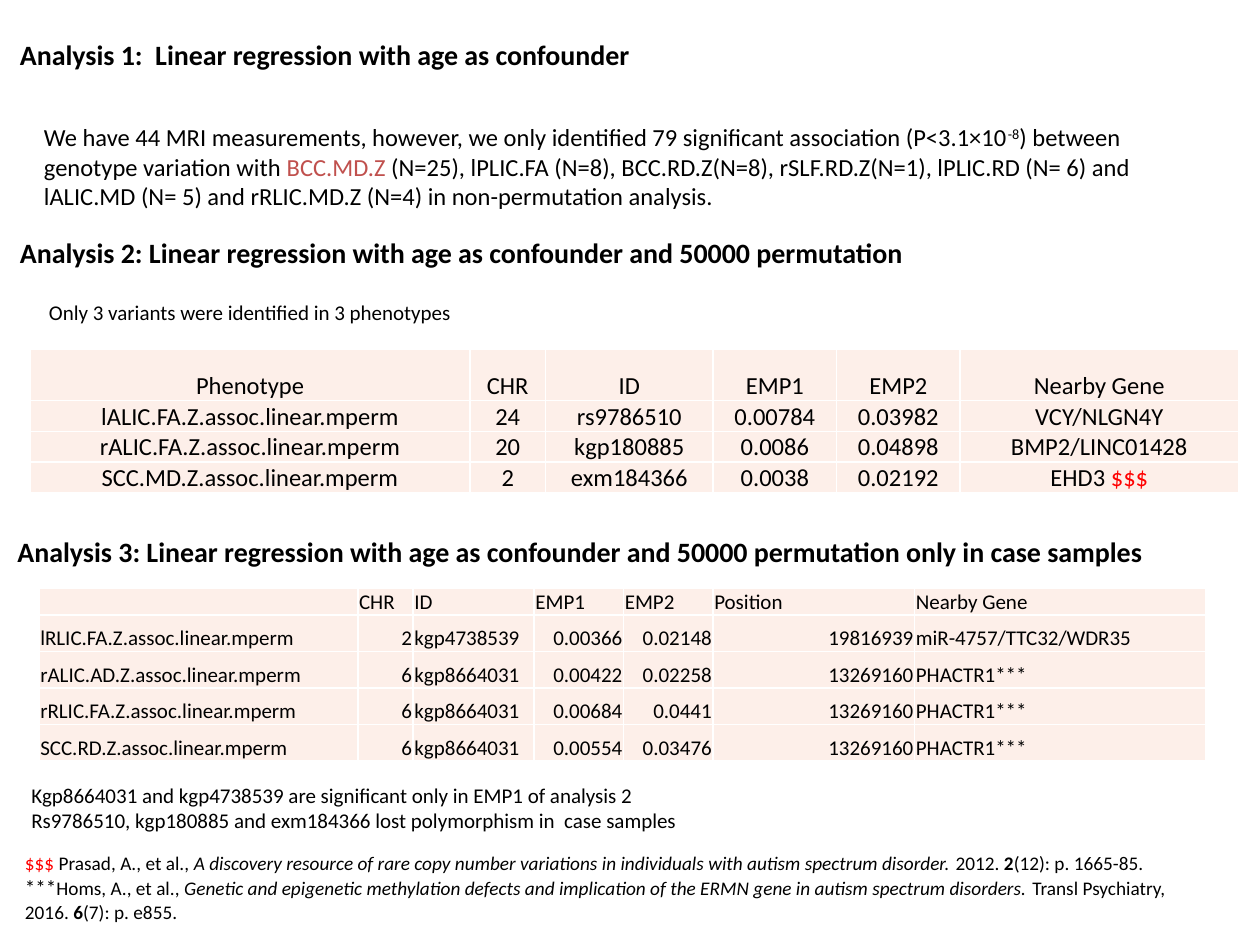
import lxml.etree
import pptx
import pptx.dml.color
import pptx.enum.text
import pptx.oxml.ns
import pptx.util

Inches = pptx.util.Inches
Pt = pptx.util.Pt
qn = pptx.oxml.ns.qn
align = pptx.enum.text.PP_ALIGN
sides = {"l": align.LEFT, "c": align.CENTER, "r": align.RIGHT}
red = "FF0000"


def tint(code):
    return pptx.dml.color.RGBColor.from_string(code)


def write(para, parts, size):
    if isinstance(parts, str):
        parts = [(parts, {})]
    para.text = parts[0][0]
    for part in parts[1:]:
        para.add_run().text = part[0]
    for run, (text, look) in zip(para.runs, parts):
        run.font.name = "Calibri"
        run.font.size = Pt(look.get("size", size))
        run.font.bold = look.get("bold", False)
        run.font.italic = look.get("slant", False)
        run.font.color.rgb = tint(look.get("hue", "000000"))
        if "raise" in look:
            run.font._element.set("baseline", look["raise"])
    if not para.runs:
        lxml.etree.SubElement(para._p, qn("a:endParaRPr"), sz=str(size * 100))


deck = pptx.Presentation()
deck.slide_width = Inches(10)
deck.slide_height = Inches(7.5)
slide = deck.slides.add_slide(deck.slide_layouts[6])

bold = {"bold": True}
slant = {"slant": True}
notes = [
    (0.06, 1.82, 7.35, 0.37, False, 16, [
        [("Analysis 2: Linear regression with age as confounder and 50000 permutation", bold)]]),
    (0.25, 0.92, 8.92, 0.81, True, 14, [[
        ("We have 44 MRI measurements, however, we only identified 79 significant association (P<3.1×10", {}),
        ("-8", {"raise": "30000"}),
        (") between genotype variation with ", {}),
        ("BCC.MD.Z", {"hue": "C0504D"}),
        (" (N=25), lPLIC.FA (N=8), BCC.RD.Z(N=8), rSLF.RD.Z(N=1), lPLIC.RD (N= 6) and  "
         "lALIC.MD (N= 5) and rRLIC.MD.Z (N=4) in non-permutation analysis.", {})]]),
    (0.06, 0.25, 5.16, 0.37, False, 16, [
        [("Analysis 1:  Linear regression with age as confounder", bold)]]),
    (0.29, 2.33, 5, 0.3, True, 12, ["Only 3 variants were identified in 3 phenotypes"]),
    (0.04, 4.19, 11.19, 0.37, True, 16, [
        [("Analysis 3: Linear regression with age as confounder and 50000 permutation "
          "only in case samples", bold)]]),
    (0.1, 6.71, 9.5, 0.67, True, 11, [
        [("$$$", {"hue": red}),
         (" Prasad, A., et al., ", {}),
         ("A discovery resource of rare copy number variations in individuals "
          "with autism spectrum disorder.", slant),
         (" 2012. ", {}),
         ("2", bold),
         ("(12): p. 1665-85.", {})],
        [("***", {"size": 12}),
         ("Homs, A., et al., ", {}),
         ("Genetic and epigenetic methylation defects and implication of the ERMN gene "
          "in autism spectrum disorders. ", slant),
         ("Transl Psychiatry, 2016. ", {}),
         ("6", bold),
         ("(7): p. e855.", {})]]),
    (0.15, 6.16, 5.4, 0.5, False, 12, [
        "Kgp8664031 and kgp4738539 are significant only in EMP1 of analysis 2",
        "Rs9786510, kgp180885 and exm184366 lost polymorphism in  case samples"]),
]
for left, top, wide, high, wrap, size, lines in notes:
    frame = slide.shapes.add_textbox(Inches(left), Inches(top), Inches(wide), Inches(high)).text_frame
    frame.word_wrap = wrap
    frame.auto_size = pptx.enum.text.MSO_AUTO_SIZE.SHAPE_TO_FIT_TEXT
    for spot, line in enumerate(lines):
        para = frame.add_paragraph() if spot else frame.paragraphs[0]
        write(para, line, size)

grids = [
    (0.24, 2.77, 14, [3.49, 0.6, 1.33, 0.98, 0.98, 2.21], 0.41, 0.24, "cccccc", "cccccc", [
        ["Phenotype", "CHR", "ID", "EMP1", "EMP2", "Nearby Gene"],
        ["lALIC.FA.Z.assoc.linear.mperm", "24", "rs9786510", "0.00784", "0.03982", "VCY/NLGN4Y"],
        ["rALIC.FA.Z.assoc.linear.mperm", "20", "kgp180885", "0.0086", "0.04898", "BMP2/LINC01428"],
        ["SCC.MD.Z.assoc.linear.mperm", "2", "exm184366", "0.0038", "0.02192",
         [("EHD3 ", {}), ("$$$", {"hue": red})]]]),
    (0.31, 4.67, 12, [2.53, 0.44, 0.96, 0.71, 0.71, 1.6, 2.31], 0.21, 0.29, "lllllll", "lrlrrrl", [
        ["", "CHR", "ID", "EMP1", "EMP2", "Position", "Nearby Gene"],
        ["lRLIC.FA.Z.assoc.linear.mperm", "2", "kgp4738539", "0.00366", "0.02148", "19816939",
         "miR-4757/TTC32/WDR35"],
        ["rALIC.AD.Z.assoc.linear.mperm", "6", "kgp8664031", "0.00422", "0.02258", "13269160", "PHACTR1***"],
        ["rRLIC.FA.Z.assoc.linear.mperm", "6", "kgp8664031", "0.00684", "0.0441", "13269160", "PHACTR1***"],
        ["SCC.RD.Z.assoc.linear.mperm", "6", "kgp8664031", "0.00554", "0.03476", "13269160", "PHACTR1***"]]),
]
for left, top, size, wides, head, step, first, rest, rows in grids:
    high = head + step * (len(rows) - 1)
    table = slide.shapes.add_table(len(rows), len(wides), Inches(left), Inches(top),
                                   Inches(sum(wides)), Inches(high)).table
    table.first_row = False
    table.horz_banding = False
    for col, wide in zip(table.columns, wides):
        col.width = Inches(wide)
    for y, row in enumerate(rows):
        table.rows[y].height = Inches(step if y else head)
        for x, parts in enumerate(row):
            cell = table.cell(y, x)
            cell.margin_left = cell.margin_right = cell.margin_top = Inches(0.01)
            cell.margin_bottom = 0
            cell.vertical_anchor = pptx.enum.text.MSO_ANCHOR.BOTTOM
            para = cell.text_frame.paragraphs[0]
            para.alignment = sides[(rest if y else first)[x]]
            write(para, parts, size)
            for edge in "LRTB":
                line = lxml.etree.SubElement(cell._tc.tcPr, qn("a:ln" + edge), w=str(Pt(1)))
                paint = lxml.etree.SubElement(line, qn("a:solidFill"))
                lxml.etree.SubElement(paint, qn("a:srgbClr"), val="FFFFFF")
            cell.fill.solid()
            cell.fill.fore_color.rgb = tint("FDEFE9")

deck.save("out.pptx")
